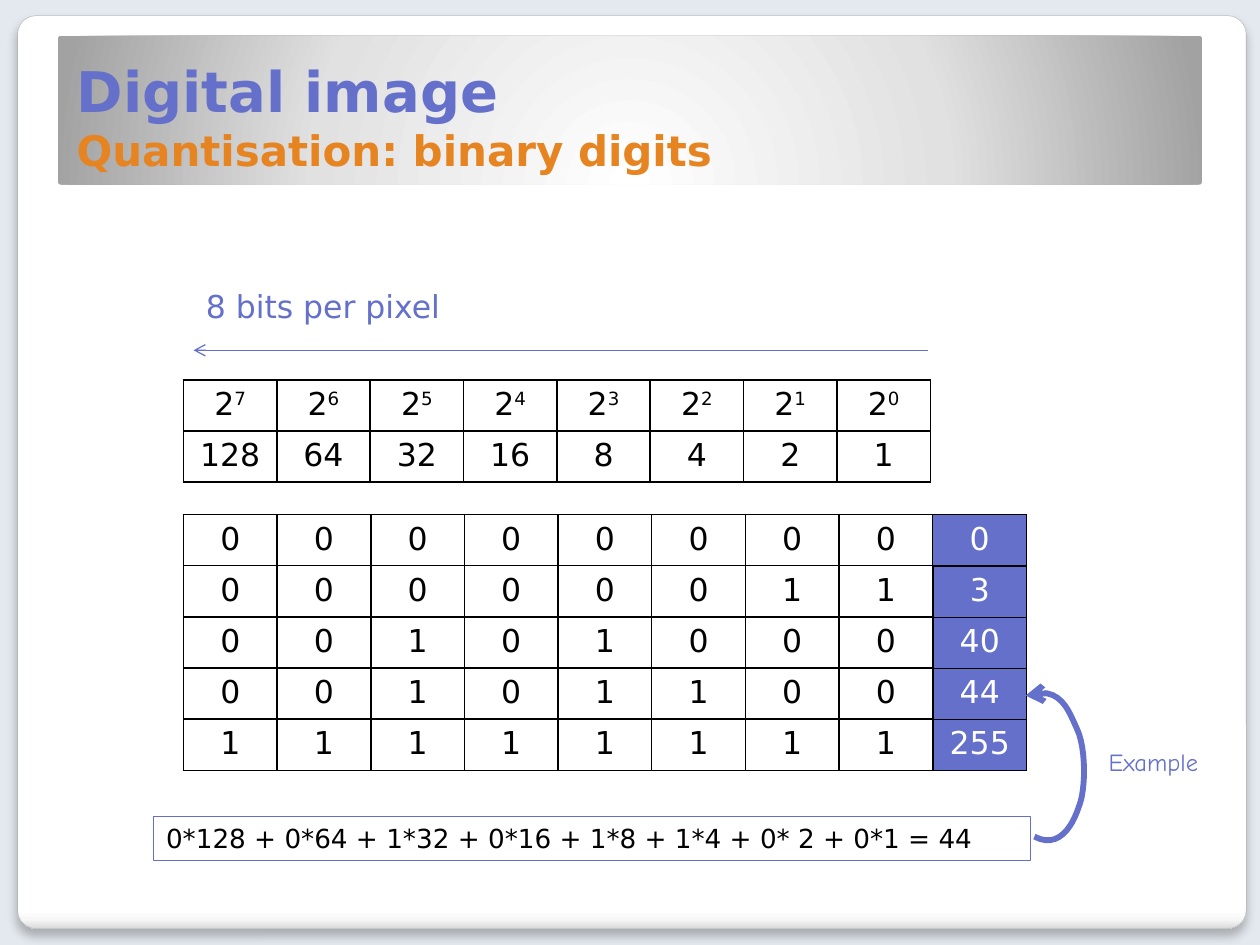
from pptx import Presentation
from pptx.dml.color import RGBColor as RGB
from pptx.enum.shapes import MSO_CONNECTOR as Link, MSO_SHAPE as Kind
from pptx.enum.text import MSO_ANCHOR as Anchor, PP_ALIGN as Align
from pptx.oxml import parse_xml as parse
from pptx.oxml.ns import qn
from pptx.util import Inches, Pt

NS = 'xmlns:a="http://schemas.openxmlformats.org/drawingml/2006/main"'
BLUE, ORANGE, BLACK, WHITE = "6470CA", "E68422", "000000", "FFFFFF"
SANS, COMIC = "DejaVu Sans", "Comic Neue"

deck = Presentation()
deck.slide_width, deck.slide_height = Inches(10), Inches(7.5)
slide = deck.slides.add_slide(deck.slide_layouts[6])
shapes = slide.shapes


def span(*shares):
    sides = (deck.slide_width, deck.slide_height) * 2
    return [round(side * share / 100) for side, share in zip(sides, shares)]


def style(font, size, color, face=SANS, bold=False):
    font.size, font.name, font.bold = Pt(size), face, bold
    font.color.rgb = RGB.from_string(color)


back = slide.background.fill
back.solid()
back.fore_color.rgb = RGB.from_string("E4E9EF")

panels = [
    ((1.4, 1.67, 97.5, 96.6),
     [(0, WHITE), (98, WHITE), (99, "F7F7F7"), (100, "DADADA")],
     '<a:lin ang="5400000" scaled="0"/>'),
    ((4.6, 3.8, 90.8, 15.75),
     [(0, WHITE), (55, "E1E1E1"), (100, "A2A2A2")],
     '<a:path path="circle"><a:fillToRect l="50000" t="175000" '
     'r="50000" b="-75000"/></a:path>'),
]
plates = []
for place, stops, kind in panels:
    plate = shapes.add_shape(Kind.ROUNDED_RECTANGLE, *span(*place))
    plate.adjustments[0] = 0.02
    plate.shadow.inherit = False
    plate.line.fill.background()
    plate.fill.background()
    marks = "".join(
        f'<a:gs pos="{pos * 1000}"><a:srgbClr val="{color}"/></a:gs>'
        for pos, color in stops)
    props = plate._element.spPr
    props.replace(props.find(qn("a:noFill")), parse(
        f'<a:gradFill {NS} rotWithShape="1"><a:gsLst>{marks}</a:gsLst>'
        f'{kind}</a:gradFill>'))
    plates.append(plate)

card = plates[0]
card.line.color.rgb = RGB.from_string("A4A4A4")
card.line.width = Pt(0.16)
card._element.spPr.find(qn("a:effectLst")).append(parse(
    f'<a:outerShdw {NS} blurRad="{Pt(6)}" dist="{Pt(4)}" dir="5400000" '
    f'algn="t" rotWithShape="0"><a:srgbClr val="{BLACK}">'
    '<a:alpha val="25000"/></a:srgbClr></a:outerShdw>'))

title = shapes.add_textbox(*span(5.1, 3.8, 89.5, 15.33)).text_frame
title.word_wrap = True
title.vertical_anchor = Anchor.BOTTOM
title.text = "Digital image\vQuantisation: binary digits"
for run, size, color in zip(title.paragraphs[0].runs, (32, 24), (BLUE, ORANGE)):
    style(run.font, size, color, bold=True)

powers = range(7, -1, -1)
totals = [3, 40, 44, 255]
bits = [list(f"{total:08b}") + [""] for total in [0] + totals]
bits[0][-1] = "0"
grids = [
    ((14.56, 40.2, 59.3, 10.8),
     [[f"2^{power}" for power in powers], [str(2 ** power) for power in powers]]),
    ((14.56, 54.45, 66.9, 27.07), bits),
]
for shown in range(1, len(totals) + 1):
    grids.append(((74.06, 59.95, 7.4, 21.6), [
        [str(total) if turn < shown else ""]
        for turn, total in enumerate(totals)]))
for place, rows in grids:
    left, top, width, height = span(*place)
    table = shapes.add_table(
        len(rows), len(rows[0]), left, top, width, height).table
    table.first_row = table.horz_banding = False
    for col in table.columns:
        col.width = width // len(rows[0])
    for row, words in zip(table.rows, rows):
        row.height = height // len(rows)
        for spot, (cell, word) in enumerate(zip(row.cells, words)):
            total = spot == 8 or len(words) == 1
            if total:
                cell.fill.solid()
                cell.fill.fore_color.rgb = RGB.from_string(BLUE)
            else:
                cell.fill.background()
            para = cell.text_frame.paragraphs[0]
            para.alignment = Align.CENTER
            for part, text in enumerate(word.split("^") if word else []):
                run = para.add_run()
                run.text = text
                style(run.font, 18, WHITE if total else BLACK)
                if part:
                    run._r.get_or_add_rPr().set("baseline", "30000")
            props = cell._tc.get_or_add_tcPr()
            for order, side in enumerate("LRTB"):
                props.insert(order, parse(
                    f'<a:ln{side} {NS} w="{Pt(1)}"><a:solidFill>'
                    f'<a:srgbClr val="{BLACK}"/></a:solidFill></a:ln{side}>'))

notes = [
    ((15.35, 29.73, 21, 5.33), "8 bits per pixel", 18, BLUE, SANS),
    ((12.2, 86.4, 69.6, 4.67),
     "0*128 + 0*64 + 1*32 + 0*16 + 1*8 + 1*4 + 0* 2 + 0*1 = 44",
     15, BLACK, SANS),
    ((87, 78.4, 9.6, 4.53), "Example", 14, BLUE, COMIC),
]
for place, text, size, color, face in notes:
    note = shapes.add_textbox(*span(*place))
    note.text_frame.word_wrap = True
    note.text_frame.text = text
    style(note.text_frame.paragraphs[0].runs[0].font, size, color, face)
    if color == BLACK:
        note.line.color.rgb = RGB.from_string(BLUE)
        note.line.width = Pt(0.75)

arrow = shapes.add_connector(Link.STRAIGHT, *span(73.65, 37.07, 15.37, 37.07))

bends = [
    [(82.1, 88.53), (84, 89.87), (85.1, 87.47), (85.6, 85.47)],
    [(85.6, 85.47), (86.2, 83.6), (86.2, 79.2), (85.5, 77.2)],
    [(85.5, 77.2), (84.8, 75.2), (84.2, 72.4), (81.4, 73.6)],
]
steps = 12
points = []
for bend in bends:
    for step in range(1, steps + 1):
        t = step / steps
        parts = ((1 - t) ** 3, 3 * t * (1 - t) ** 2, 3 * t * t * (1 - t), t ** 3)
        points.append(span(*(sum(part * value for part, value in zip(parts, axis))
                             for axis in zip(*bend))))
path = shapes.build_freeform(*span(*bends[0][0]))
path.add_line_segments(points, close=False)
curve = path.convert_to_shape()
curve.fill.background()
curve.shadow.inherit = False
arrow._element.spPr.append(parse(f"<a:effectLst {NS}/>"))

for stroke, width in ((arrow, 0.75), (curve, 3.35)):
    stroke.line.color.rgb = RGB.from_string(BLUE)
    stroke.line.width = Pt(width)
    line = stroke.line._get_or_add_ln()
    line.append(parse(f"<a:round {NS}/>"))
    line.append(parse(f'<a:tailEnd {NS} type="arrow"/>'))

deck.save("out.pptx")
